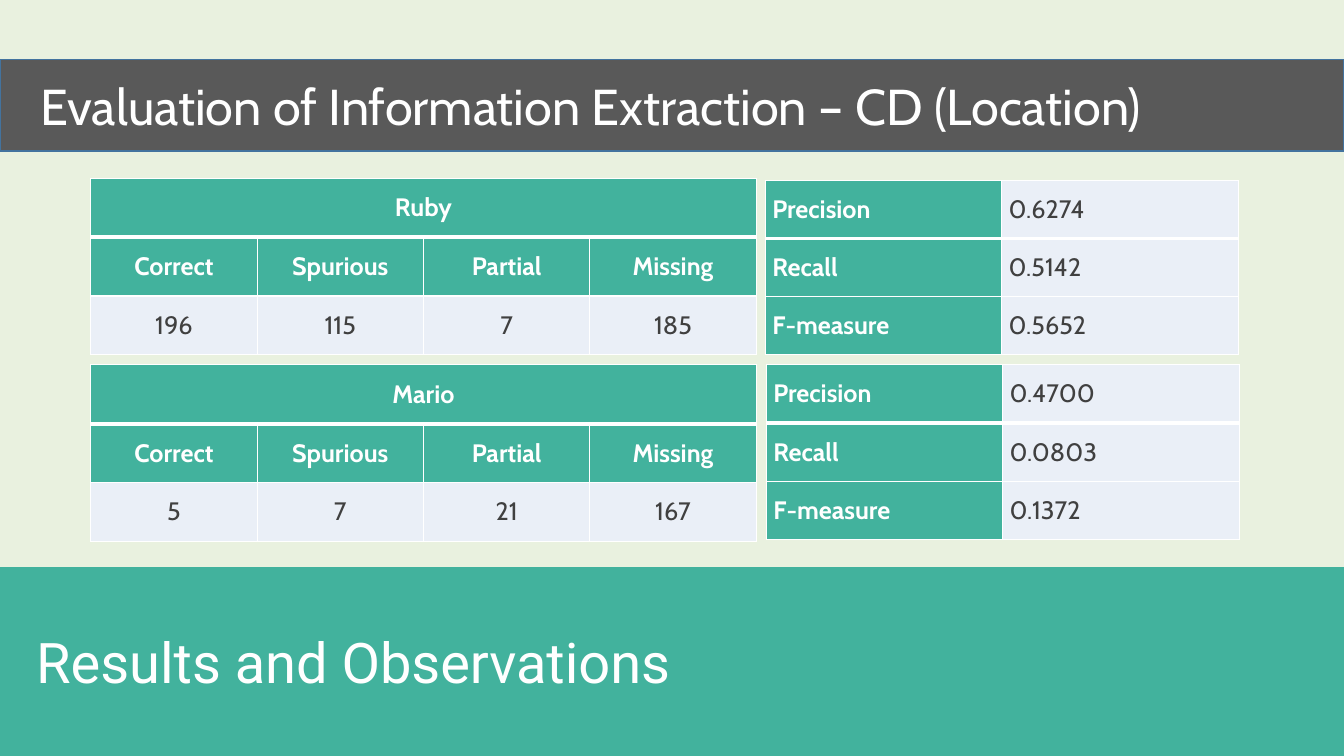
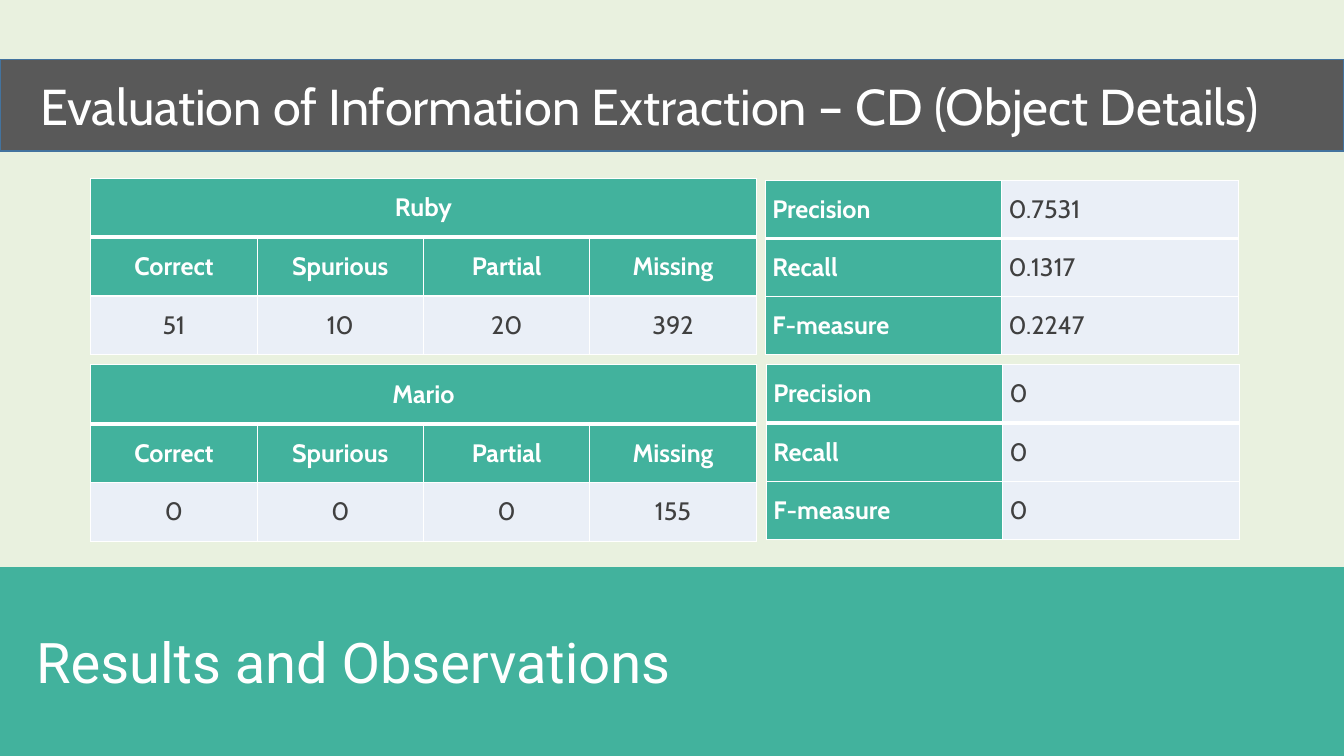
from lxml import etree
from pptx import Presentation
from pptx import util as u
from pptx.dml.color import RGBColor
from pptx.enum import shapes, text
from pptx.oxml.ns import qn

WIDTH, HEIGHT = 13.33, 7.5
PALE_GREEN, TEAL, GREY, BLUE = "E9F1DF", "42B29D", "595959", "43739E"
WHITE, INK, PALE_BLUE = "FFFFFF", "404040", "EAEFF7"
BODY_FONT, FOOTER_FONT = "Cabin", "Roboto"
LEFT, CENTER, JUSTIFY = text.PP_ALIGN.LEFT, text.PP_ALIGN.CENTER, text.PP_ALIGN.JUSTIFY

FOOTER = "Results and Observations"
COUNTS = ["Correct", "Spurious", "Partial", "Missing"]
METRICS = ["Precision", "Recall", "F-measure"]

# Boxes: left, top, width, height
COUNT_BOXES = [(0.9, 1.77, 6.6, 1.75), (0.9, 3.62, 6.6, 1.75)]
METRIC_BOXES = [(7.59, 1.79, 4.69, 1.73), (7.6, 3.62, 4.69, 1.73)]

# Title, then for each system: name, counts, metrics
SLIDES = [
    ("Evaluation of Information Extraction – CD (Location)", [
        ("Ruby", ["196", "115", "7", "185"], ["0.6274", "0.5142", "0.5652"]),
        ("Mario", ["5", "7", "21", "167"], ["0.4700", "0.0803", "0.1372"]),
    ]),
    ("Evaluation of Information Extraction – CD (Object Details)", [
        ("Ruby", ["51", "10", "20", "392"], ["0.7531", "0.1317", "0.2247"]),
        ("Mario", ["0", "0", "0", "155"], ["0", "0", "0"]),
    ]),
]


def paint(target, color):
    """Give a fill a solid colour."""
    target.solid()
    target.fore_color.rgb = RGBColor.from_string(color)


def write(frame, words, size, font, color, bold=False, align=LEFT):
    frame.text = words
    para = frame.paragraphs[0]
    para.alignment = align
    for span in para.runs:
        span.font.size = u.Pt(size)
        span.font.name = font
        span.font.bold = bold
        paint(span.font.fill, color)


def add_band(page, box, words, size, font, fill, indent, outline=None):
    """Full-width band with a line of white text."""
    band = page.shapes.add_shape(shapes.MSO_SHAPE.RECTANGLE, *map(u.Inches, box))
    band.shadow.inherit = False
    paint(band.fill, fill)
    if outline:
        paint(band.line.fill, outline)
        band.line.width = u.Pt(1)
    else:
        band.line.fill.background()
    frame = band.text_frame
    frame.word_wrap = True
    frame.vertical_anchor = text.MSO_ANCHOR.MIDDLE
    frame.margin_left = u.Inches(indent)
    write(frame, words, size, font, WHITE)


def add_borders(cell, top, bottom):
    """White cell borders; the schema puts them before the fill."""
    props = cell._tc.get_or_add_tcPr()
    widths = {"a:lnL": 1, "a:lnR": 1, "a:lnT": top, "a:lnB": bottom}
    for place, (tag, width) in enumerate(widths.items()):
        line = etree.Element(qn(tag), w=str(u.Pt(width)))
        fill = etree.SubElement(line, qn("a:solidFill"))
        etree.SubElement(fill, qn("a:srgbClr"), val=WHITE)
        props.insert(place, line)


def add_grid(page, box, rows, is_header, align_of):
    """Table with equal rows and columns and a thick rule below the first row."""
    left, top, width, height = map(u.Inches, box)
    table = page.shapes.add_table(len(rows), len(rows[0]), left, top, width, height).table
    table.first_row = table.horz_banding = False
    for r, row in enumerate(rows):
        for c, words in enumerate(row):
            cell, header = table.cell(r, c), is_header(r, c)
            cell.vertical_anchor = text.MSO_ANCHOR.MIDDLE
            cell.margin_left = cell.margin_right = u.Inches(0.07)
            cell.margin_top = cell.margin_bottom = u.Inches(0.07)
            paint(cell.fill, TEAL if header else PALE_BLUE)
            add_borders(cell, top=3 if r == 1 else 1, bottom=3 if r == 0 else 1)
            write(cell.text_frame, words, 18, BODY_FONT,
                  WHITE if header else INK, header, align_of(c))
    return table


def add_counts(page, box, name, values):
    """Counts under a system name that spans all columns."""
    rows = [[name] + [""] * (len(COUNTS) - 1), COUNTS, values]
    table = add_grid(page, box, rows, lambda r, c: r < 2, lambda c: CENTER)
    table.cell(0, 0).merge(table.cell(0, len(COUNTS) - 1))


def add_metrics(page, box, values):
    """Metric names in the first column, scores in the second."""
    add_grid(page, box, list(zip(METRICS, values)), lambda r, c: c == 0,
             lambda c: JUSTIFY if c else LEFT)


def add_evaluation(deck, title, systems):
    page = deck.slides.add_slide(deck.slide_layouts[6])
    paint(page.background.fill, PALE_GREEN)
    # Footer and title bands
    add_band(page, (0, HEIGHT * 0.75, WIDTH, HEIGHT * 0.25), FOOTER, 40, FOOTER_FONT, TEAL, 0.36)
    add_band(page, (0, 0.59, WIDTH, 0.91), title, 36, BODY_FONT, GREY, 0.4, BLUE)
    # One pair of tables for each system
    for count_box, metric_box, (name, counts, scores) in zip(COUNT_BOXES, METRIC_BOXES, systems):
        add_counts(page, count_box, name, counts)
        add_metrics(page, metric_box, scores)


def main():
    deck = Presentation()
    deck.slide_width, deck.slide_height = u.Inches(WIDTH), u.Inches(HEIGHT)
    for title, systems in SLIDES:
        add_evaluation(deck, title, systems)
    deck.save("out.pptx")


if __name__ == "__main__":
    main()
